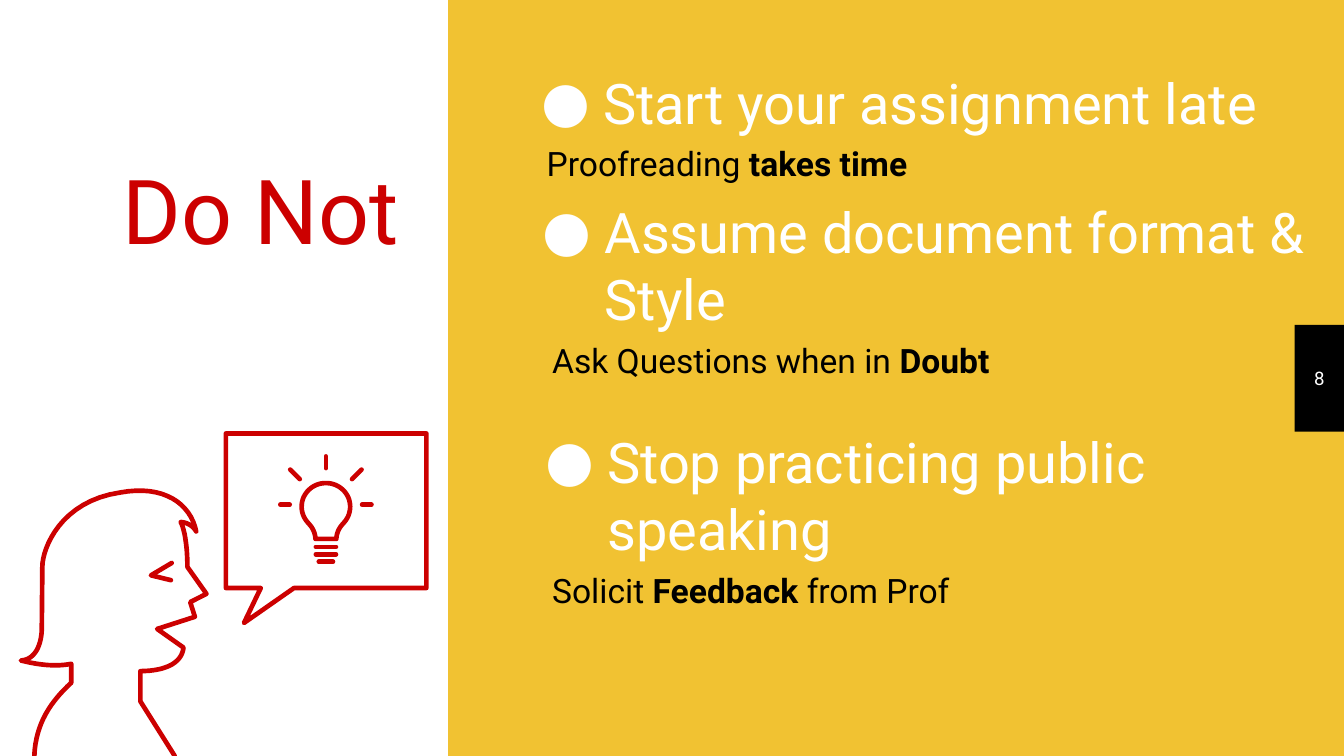
from dataclasses import dataclass

from lxml import etree
from pptx import Presentation
from pptx.dml.color import RGBColor
from pptx.enum.shapes import MSO_CONNECTOR, MSO_SHAPE
from pptx.enum.text import MSO_ANCHOR, PP_ALIGN
from pptx.oxml.ns import qn
from pptx.util import Pt

RECTANGLE = MSO_SHAPE.RECTANGLE
STRAIGHT = MSO_CONNECTOR.STRAIGHT
TOP, MIDDLE, BOTTOM = MSO_ANCHOR.TOP, MSO_ANCHOR.MIDDLE, MSO_ANCHOR.BOTTOM
LEFT, CENTER = PP_ALIGN.LEFT, PP_ALIGN.CENTER


@dataclass(frozen=True)
class Theme:
    font: str = "Roboto"
    yellow: RGBColor = RGBColor(0xF1, 0xC2, 0x32)
    red: RGBColor = RGBColor(0xCC, 0x00, 0x00)
    white: RGBColor = RGBColor(0xFF, 0xFF, 0xFF)
    black: RGBColor = RGBColor(0x00, 0x00, 0x00)
    title_size: float = 48
    heading_size: float = 30
    tip_size: float = 18
    number_size: float = 10
    inset: float = 7.2
    stroke: float = 2.5


THEME = Theme()


@dataclass(frozen=True)
class Box:
    left: float
    top: float
    width: float
    height: float

    def lengths(self) -> tuple:
        return Pt(self.left), Pt(self.top), Pt(self.width), Pt(self.height)


@dataclass(frozen=True)
class Advice:
    heading: str
    heading_box: Box
    indent: float
    tip: tuple  # (text, bold) spans
    tip_left: float
    tip_top: float


ADVICE = [
    Advice("Start your assignment late", Box(280, 9.4, 420.5, 70.6), 36,
           (("Proofreading ", False), ("takes time", True)), 285.8, 69.1),
    Advice("Assume document format & Style", Box(244.8, 114.5, 475.2, 70.6), 72,
           (("Ask Questions when in ", False), ("Doubt", True)), 288.7, 175),
    Advice("Stop practicing public speaking", Box(282.2, 237.6, 420.5, 70.6), 36,
           (("Solicit ", False), ("Feedback", True), (" from Prof", False)), 288.7, 298.1),
]

# Outlines: a pair of numbers is a corner, six numbers are a cubic curve
HEAD = [
    (93.6, 405), (75.2, 375.8), (75.2, 359.6), (90, 359.5, 97.5, 354.5, 98.3, 347),
    (84.2, 337), (104.4, 330.5), (101.9, 322.6), (110.6, 318.2), (100.4, 303.8),
    (100.4, 291.5, 98.6, 283, 96.8, 279.7), (100.8, 280, 103.7, 282.2, 105.1, 284.8),
    (102.2, 270, 87.8, 259.5, 64.4, 263.9), (32.4, 268.6, 22.7, 293.8, 22.7, 303.8),
    (22.4, 335.5), (22.6, 345.6, 18.7, 353.5, 11.2, 353.9),
    (21.6, 356.5, 30.2, 357.2, 38.2, 355.7), (38.2, 365.8),
    (27.4, 375.8, 19.1, 387.4, 18.4, 405),
]
EYE = [(92, 301.6), (80.9, 308.2), (91.6, 310.8)]
BUBBLE = [(121, 232.2), (228.4, 232.2), (228.4, 315), (157.5, 315),
          (130.7, 333.7), (139.7, 315), (121, 315)]
BULB_AXIS = 174.6
BULB_RIGHT_HALF = [
    (180.2, 288.7), (180.4, 285, 182, 282.5, 183.7, 280.6),
    (186.2, 278, 187.6, 275, 187.6, 271.4), (187.6, 264.4, 181.8, 258.8, 174.6, 258.8),
]
RIGHT_RAYS = [(194, 270.4, 199, 270.4), (188.6, 256.7, 193.7, 251.6)]
BULB_BASE = [(293, 5.4), (297, 5.4), (301, 3.8)]  # height, half width


def write_text(shape, text, *, size: float, color: RGBColor, anchor=TOP, align=LEFT,
               indent: float = 0, bullet: bool = False, space_before: float = 0) -> None:
    """Write a string, or (text, bold) spans, as one paragraph."""
    frame = shape.text_frame
    frame.word_wrap = True
    frame.vertical_anchor = anchor
    frame.margin_left = frame.margin_right = Pt(THEME.inset)
    frame.margin_top = frame.margin_bottom = Pt(THEME.inset)
    para = frame.paragraphs[0]
    para.alignment = align
    para.space_before = Pt(space_before)
    properties = para._p.get_or_add_pPr()
    properties.set("marL", str(Pt(indent)))
    properties.set("indent", str(Pt(-33 if bullet else 0)))
    if bullet:
        bullet_color = etree.SubElement(properties, qn("a:buClr"))
        etree.SubElement(bullet_color, qn("a:srgbClr"), val=str(color))
        etree.SubElement(properties, qn("a:buFont"), typeface=THEME.font)
        etree.SubElement(properties, qn("a:buChar"), char="●")
    for content, bold in ((text, False),) if isinstance(text, str) else text:
        span = para.add_run()
        span.text = content
        span.font.name = THEME.font
        span.font.size = Pt(size)
        span.font.bold = bold
        span.font.color.rgb = color


def add_text(page, box: Box, text, **style) -> None:
    write_text(page.shapes.add_textbox(*box.lengths()), text, **style)


def add_panel(page, box: Box, color: RGBColor):
    panel = page.shapes.add_shape(RECTANGLE, *box.lengths())
    panel.shadow.inherit = False
    panel.fill.solid()
    panel.fill.fore_color.rgb = color
    panel.line.fill.background()
    return panel


def set_stroke(shape) -> None:
    shape.line.color.rgb = THEME.red
    shape.line.width = Pt(THEME.stroke)
    line = shape.element.spPr.find(qn("a:ln"))
    line.set("cap", "rnd")
    etree.SubElement(line, qn("a:round"))


def flatten(outline: list, steps: int = 16) -> list:
    """Turn corners and cubic curves into a list of points."""
    points = []
    for part in outline:
        if len(part) == 2:
            points.append(part)
            continue
        controls = [points[-1], part[:2], part[2:4], part[4:]]
        for step in range(1, steps + 1):
            t = step / steps
            weights = ((1 - t) ** 3, 3 * t * (1 - t) ** 2, 3 * t * t * (1 - t), t ** 3)
            points.append(tuple(sum(w * c[axis] for w, c in zip(weights, controls))
                                for axis in (0, 1)))
    return points


def add_outline(page, points: list, close: bool = False) -> None:
    corners = [(Pt(x), Pt(y)) for x, y in points]
    builder = page.shapes.build_freeform(*corners[0], scale=1.0)
    builder.add_line_segments(corners[1:], close=close)
    outline = builder.convert_to_shape()
    outline.shadow.inherit = False
    outline.fill.background()
    set_stroke(outline)


def add_stroke(page, x1: float, y1: float, x2: float, y2: float) -> None:
    stroke = page.shapes.add_connector(STRAIGHT, Pt(x1), Pt(y1), Pt(x2), Pt(y2))
    set_stroke(stroke)
    etree.SubElement(stroke.element.spPr, qn("a:effectLst"))


def mirror(x: float) -> float:
    return 2 * BULB_AXIS - x


def draw_speaker(page) -> None:
    add_outline(page, EYE)
    add_outline(page, flatten(HEAD))
    add_outline(page, BUBBLE, close=True)
    # Light bulb, symmetric about its axis
    right = flatten(BULB_RIGHT_HALF)
    left = [(mirror(x), y) for x, y in reversed(right[:-1])]
    add_outline(page, right + left, close=True)
    for height, half in BULB_BASE:
        add_stroke(page, BULB_AXIS - half, height, BULB_AXIS + half, height)
    add_stroke(page, BULB_AXIS, 244.5, BULB_AXIS, 250.8)
    for x1, y1, x2, y2 in RIGHT_RAYS:
        add_stroke(page, x1, y1, x2, y2)
        add_stroke(page, mirror(x1), y1, mirror(x2), y2)


def main() -> None:
    deck = Presentation()
    deck.slide_width, deck.slide_height = Pt(720), Pt(405)
    page = deck.slides.add_slide(deck.slide_layouts[6])

    # Background, white panel and page number
    page.background.fill.solid()
    page.background.fill.fore_color.rgb = THEME.yellow
    number_tab = add_panel(page, Box(693.5, 174, 26.5, 57.3), THEME.black)
    write_text(number_tab, "8", size=THEME.number_size, color=THEME.white,
               anchor=MIDDLE, align=CENTER)
    add_panel(page, Box(0, 0, 240, 405), THEME.white)

    # Title and illustration
    draw_speaker(page)
    add_text(page, Box(23, 77, 215.3, 70.6), "Do Not", size=THEME.title_size,
             color=THEME.red, anchor=BOTTOM, indent=35.7)

    # Advice
    for advice in ADVICE:
        add_text(page, advice.heading_box, advice.heading, size=THEME.heading_size,
                 color=THEME.white, anchor=BOTTOM, indent=advice.indent, bullet=True)
        add_text(page, Box(advice.tip_left, advice.tip_top, 386, 36.7), advice.tip,
                 size=THEME.tip_size, color=THEME.black, space_before=6)

    deck.save("out.pptx")


if __name__ == "__main__":
    main()
